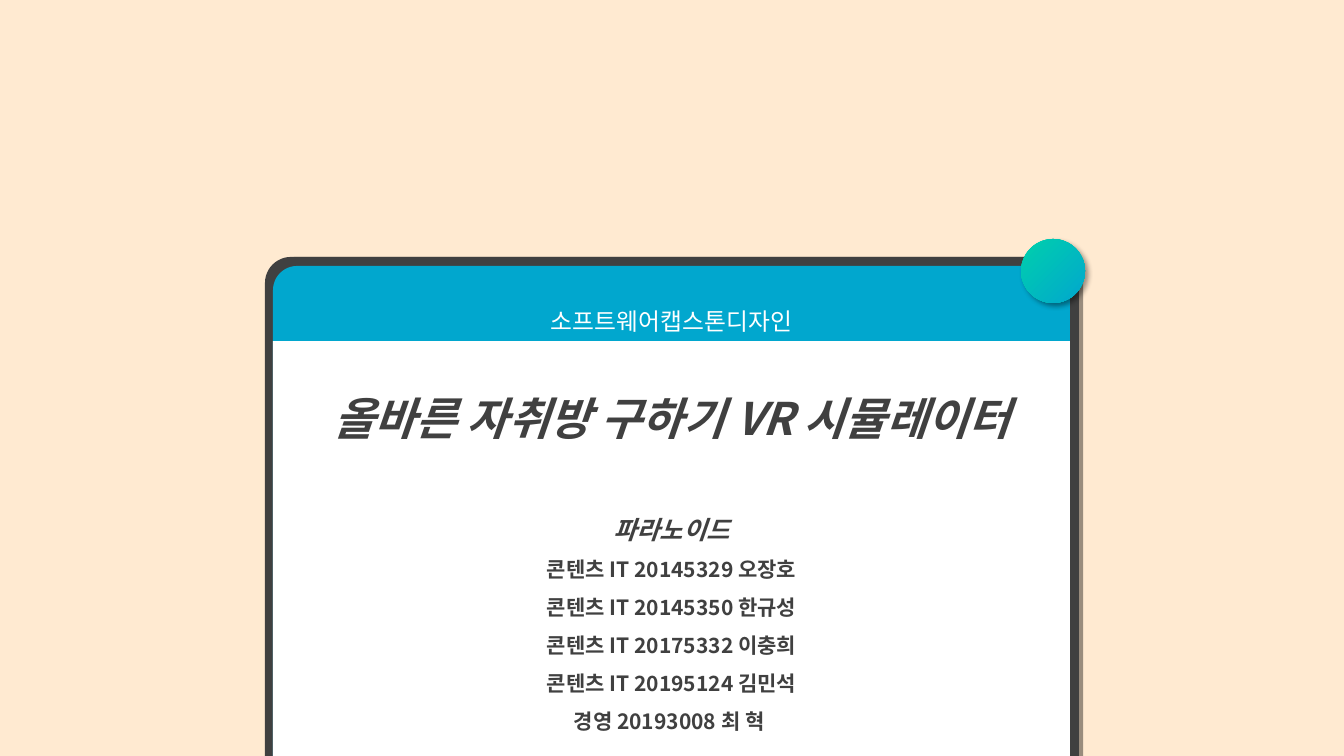
from lxml.etree import SubElement
from pptx import Presentation
from pptx.dml.color import RGBColor as Rgb
from pptx.enum.shapes import MSO_SHAPE as Shape
from pptx.enum.text import MSO_ANCHOR as Anchor, PP_ALIGN as Align
from pptx.oxml.ns import qn
from pptx.util import Emu, Pt

SCALE = 914400 / 100.8
COLORS = {
    "cream": "FFEAD1",
    "dark": "404040",
    "blue": "01A7CE",
    "mint": "00D0AC",
    "white": "FFFFFF",
    "black": "000000",
}


def px(value):
    return Emu(round(value * SCALE))


def color(name):
    return Rgb.from_string(COLORS[name])


class SlideBuilder:
    font_name = "Noto Sans CJK KR"

    def __init__(self, page):
        self.page = page

    def background(self, name):
        fill = self.page.background.fill
        fill.solid()
        fill.fore_color.rgb = color(name)

    def shape(self, kind, left, top, width, height, fill=None, adjust=()):
        box = self.page.shapes.add_shape(kind, px(left), px(top), px(width), px(height))
        for index, value in enumerate(adjust):
            box.adjustments[index] = value
        if fill:
            box.fill.solid()
            box.fill.fore_color.rgb = color(fill)
        box.line.fill.background()
        box.shadow.inherit = False
        return box

    def shadow(self, box, blur, distance, angle):
        effects = box._element.spPr.find(qn("a:effectLst"))
        outer = SubElement(effects, qn("a:outerShdw"), {
            "blurRad": str(Pt(blur)), "dist": str(Pt(distance)),
            "dir": str(angle * 60000), "algn": "tl", "rotWithShape": "0"})
        tint = SubElement(outer, qn("a:srgbClr"), val=COLORS["black"])
        SubElement(tint, qn("a:alpha"), val="40000")

    def corner_gradient(self, box, *names):
        box.fill.gradient()
        for stop, name in zip(box.fill.gradient_stops, names):
            stop.color.rgb = color(name)
        gradient = box._element.spPr.find(qn("a:gradFill"))
        gradient.remove(gradient.find(qn("a:lin")))
        circle = SubElement(gradient, qn("a:path"), {"path": "circle"})
        SubElement(circle, qn("a:fillToRect"), l="100000", t="100000")

    def text(self, box, lines, spacing, anchor, ink):
        frame = box.text_frame
        frame.word_wrap = True
        frame.vertical_anchor = anchor
        for index, (words, before, style) in enumerate(lines):
            para = frame.add_paragraph() if index else frame.paragraphs[0]
            para.alignment = Align.CENTER
            para.line_spacing = spacing
            if before:
                para.space_before = Pt(before)
            span = para.add_run()
            span.text = words
            span.font.color.rgb = color(ink)
            for key, value in {"name": self.font_name, **style}.items():
                setattr(span.font, key, value)
            # East Asian typeface for the Korean letters
            SubElement(span._r.get_or_add_rPr(), qn("a:ea"), typeface=self.font_name)


def main():
    deck = Presentation()
    deck.slide_width, deck.slide_height = px(1344), px(756)
    builder = SlideBuilder(deck.slides.add_slide(deck.slide_layouts[6]))
    builder.background("cream")

    # Dark frame
    frame = builder.shape(Shape.ROUND_2_SAME_RECTANGLE, 265, 257, 814, 499, "dark", (0.052, 0))
    builder.shadow(frame, 0, 3, 0)

    # Blue header with the course name
    header = builder.shape(Shape.ROUND_2_SAME_RECTANGLE, 273, 266, 797, 492, "blue", (0.049, 0))
    course = [("소프트웨어캡스톤디자인", 0, {"size": Pt(17)})]
    builder.text(header, course, 2, Anchor.TOP, "white")

    # White panel with title, team and members
    panel = builder.shape(Shape.RECTANGLE, 273, 341, 797, 415, "white")
    title = {"size": Pt(32), "bold": True, "italic": True}
    team = {**title, "size": Pt(18)}
    member = {"size": Pt(15), "bold": True, "italic": False}
    members = [
        "콘텐츠 IT 20145329 오장호",
        "콘텐츠 IT 20145350 한규성",
        "콘텐츠 IT 20175332 이충희",
        "콘텐츠 IT 20195124 김민석",
        "경영 20193008 최 혁 ",
    ]
    lines = [("올바른 자취방 구하기 VR 시뮬레이터", 0, title), ("파라노이드", 39, team)]
    lines += [(words, 0, member) for words in members]
    builder.text(panel, lines, 1.5, Anchor.MIDDLE, "dark")

    # Corner button
    button = builder.shape(Shape.OVAL, 1021, 239, 64, 64)
    builder.corner_gradient(button, "blue", "mint")
    builder.shadow(button, 4, 3, 45)

    deck.save("out.pptx")


if __name__ == "__main__":
    main()
